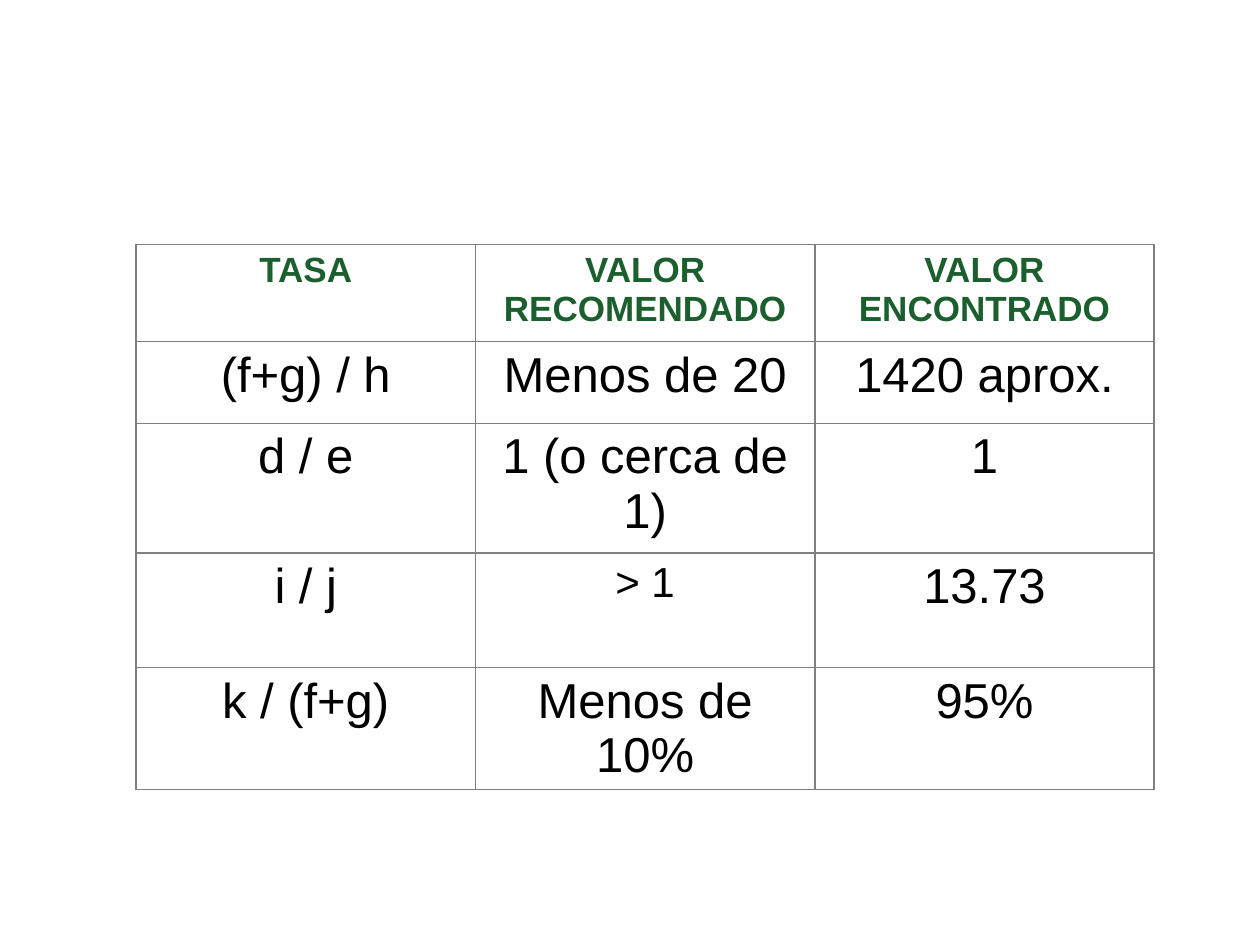
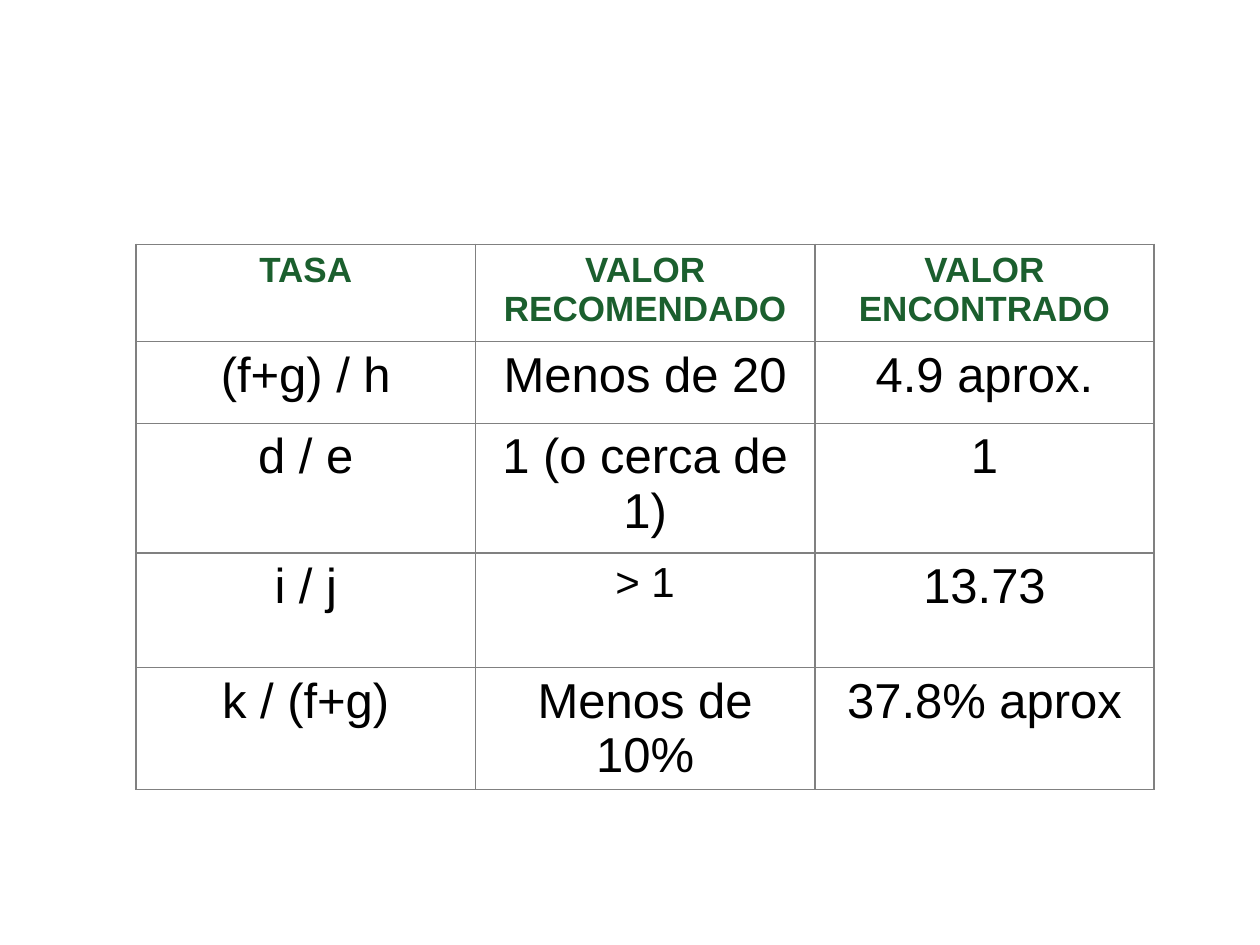
import pptx
import pptx.dml.color
import pptx.enum.text
import pptx.oxml.ns
import pptx.util
from lxml import etree

Inches = pptx.util.Inches
Pt = pptx.util.Pt
qn = pptx.oxml.ns.qn


class Deck:
    """Holds the shared style and the current slide."""

    colors = {"header": "1B5F2E", "body": "000000", "border": "808080"}
    font = "Arial"
    header_size = 20
    body_size = 28

    def __init__(self):
        self.prs = pptx.Presentation()
        self.prs.slide_width = Inches(10)
        self.prs.slide_height = Inches(7.5)

    def slide(self):
        self.s = self.prs.slides.add_slide(self.prs.slide_layouts[6])

    def borders(self, cell):
        tc_pr = cell._tc.get_or_add_tcPr()
        for side in ("lnL", "lnR", "lnT", "lnB"):
            line = etree.SubElement(tc_pr, qn(f"a:{side}"), w=str(Pt(1)))
            fill = etree.SubElement(line, qn("a:solidFill"))
            etree.SubElement(fill, qn("a:srgbClr"), val=self.colors["border"])

    def cell(self, cell, text, size, color, bold):
        self.borders(cell)
        cell.fill.background()
        cell.text = text
        p = cell.text_frame.paragraphs[0]
        p.alignment = pptx.enum.text.PP_ALIGN.CENTER
        p.font.name = self.font
        p.font.size = Pt(size)
        p.font.bold = bold
        p.font.color.rgb = pptx.dml.color.RGBColor.from_string(self.colors[color])

    def table(self, rows, left, top, width, heights, sizes):
        columns = len(rows[0])
        table = self.s.shapes.add_table(
            len(rows), columns, Inches(left), Inches(top),
            Inches(width), Inches(sum(heights))).table
        table.first_row = False
        table.horz_banding = False
        for column in table.columns:
            column.width = Inches(width / columns)
        for i, (values, height) in enumerate(zip(rows, heights)):
            table.rows[i].height = Inches(height)
            for j, text in enumerate(values):
                if i == 0:
                    self.cell(table.cell(i, j), text, self.header_size, "header", True)
                else:
                    size = sizes.get((i, j), self.body_size)
                    self.cell(table.cell(i, j), text, size, "body", False)


HEADER = ("TASA", "VALOR RECOMENDADO", "VALOR ENCONTRADO")
RATES = (
    ("(f+g) / h", "Menos de 20"),
    ("d / e", "1 (o cerca de 1)"),
    ("i / j", "> 1"),
    ("k / (f+g)", "Menos de 10%"),
)
FOUND_VALUES = (
    ("1420 aprox.", "1", "13.73", "95%"),
    ("4.9 aprox.", "1", "13.73", "37.8% aprox"),
)
ROW_HEIGHTS = (0.77, 0.65, 1.03, 0.91, 0.92)

deck = Deck()
for found in FOUND_VALUES:
    deck.slide()
    rows = [HEADER] + [(*rate, value) for rate, value in zip(RATES, found)]
    deck.table(rows, 1.08, 1.94, 8.08, ROW_HEIGHTS, {(3, 1): 24})
deck.prs.save("out.pptx")
